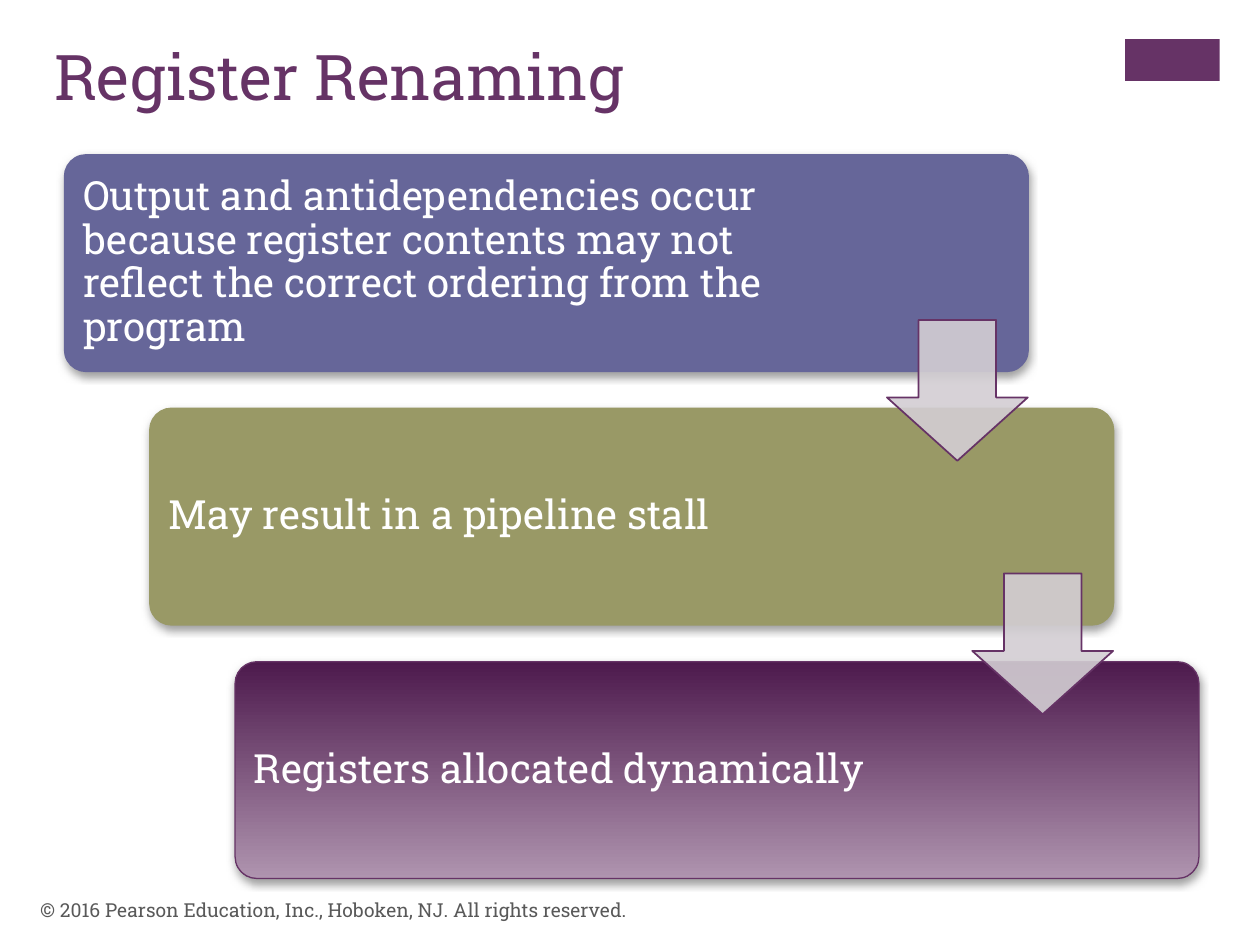
from dataclasses import dataclass

from lxml.etree import SubElement
from pptx import Presentation
from pptx.dml.color import RGBColor
from pptx.enum.shapes import MSO_SHAPE
from pptx.enum.text import MSO_ANCHOR
from pptx.oxml.ns import qn
from pptx.shapes.autoshape import Shape
from pptx.slide import Slide
from pptx.util import Cm, Pt

FONT = "Roboto Slab"
PURPLE = "663366"
WHITE = "FFFFFF"
STEP_X, STEP_Y = 1.72, 5.11
CARD_LEFT, CARD_TOP = 1.3, 3.12
CARD_WIDTH, CARD_HEIGHT = 19.43, 4.37
TEXT_INSET, TEXT_WIDTH = 0.13, 14.65
ARROW_LEFT, ARROW_TOP, ARROW_SIZE = 17.88, 6.45, 2.84


@dataclass
class Frame:
    left: float
    top: float
    width: float
    height: float


@dataclass
class Card:
    text: str
    fill: tuple[str, ...]
    line: str


CARDS = [
    Card(
        "Output and antidependencies occur because register contents may not "
        "reflect the correct ordering from the program",
        ("666699",),
        "666699",
    ),
    Card("May result in a pipeline stall", ("999966",), "999966"),
    Card("Registers allocated dynamically", ("4D1A4D", "AF94AF"), PURPLE),
]


def color(value: str) -> RGBColor:
    return RGBColor.from_string(value)


def add_block(
    page: Slide,
    kind: MSO_SHAPE,
    frame: Frame,
    fill: tuple[str, ...],
    line: str | None = None,
    line_width: float = 1,
    adjustments: tuple[float, ...] = (),
) -> Shape:
    block = page.shapes.add_shape(
        kind, Cm(frame.left), Cm(frame.top), Cm(frame.width), Cm(frame.height)
    )
    block.shadow.inherit = False
    for index, value in enumerate(adjustments):
        block.adjustments[index] = value
    if len(fill) == 1:
        block.fill.solid()
        block.fill.fore_color.rgb = color(fill[0])
    else:
        block.fill.gradient()
        block.fill.gradient_angle = 270
        for stop, value in zip(block.fill.gradient_stops, fill):
            stop.color.rgb = color(value)
    if line:
        block.line.color.rgb = color(line)
        block.line.width = Pt(line_width)
    else:
        block.line.fill.background()
    return block


def add_text(
    page: Slide,
    frame: Frame,
    text: str,
    size: float,
    text_color: str,
    anchor: MSO_ANCHOR = MSO_ANCHOR.MIDDLE,
    line_spacing: float = 1.0,
) -> Shape:
    box = page.shapes.add_textbox(
        Cm(frame.left), Cm(frame.top), Cm(frame.width), Cm(frame.height)
    )
    text_frame = box.text_frame
    text_frame.word_wrap = True
    text_frame.vertical_anchor = anchor
    text_frame.text = text
    para = text_frame.paragraphs[0]
    para.line_spacing = line_spacing
    font = para.runs[0].font
    font.name = FONT
    font.size = Pt(size)
    font.color.rgb = color(text_color)
    return box


def add_shadow(block: Shape) -> None:
    effects = block._element.spPr.find(qn("a:effectLst"))
    shadow = SubElement(
        effects,
        qn("a:outerShdw"),
        blurRad=str(Pt(5)),
        dist=str(Pt(2)),
        dir="5400000",
        rotWithShape="0",
    )
    tone = SubElement(shadow, qn("a:srgbClr"), val="808080")
    SubElement(tone, qn("a:alpha"), val="75000")


def add_card(page: Slide, card: Card, index: int) -> None:
    left, top = CARD_LEFT + index * STEP_X, CARD_TOP + index * STEP_Y
    block = add_block(
        page,
        MSO_SHAPE.ROUNDED_RECTANGLE,
        Frame(left, top, CARD_WIDTH, CARD_HEIGHT),
        card.fill,
        card.line,
        0.75,
        (0.1,),
    )
    add_shadow(block)
    text_area = Frame(
        left + TEXT_INSET,
        top + TEXT_INSET,
        TEXT_WIDTH,
        CARD_HEIGHT - 2 * TEXT_INSET,
    )
    box = add_text(page, text_area, card.text, 23, WHITE, line_spacing=0.9)
    box.text_frame.margin_top = box.text_frame.margin_bottom = Cm(0.25)


def add_arrow(page: Slide, index: int) -> None:
    frame = Frame(
        ARROW_LEFT + index * STEP_X,
        ARROW_TOP + index * STEP_Y,
        ARROW_SIZE,
        ARROW_SIZE,
    )
    arrow = add_block(
        page, MSO_SHAPE.DOWN_ARROW, frame, ("D3CED3",), PURPLE, 1, (0.55, 0.45)
    )
    tone = arrow._element.spPr.find(qn("a:solidFill")).find(qn("a:srgbClr"))
    SubElement(tone, qn("a:alpha"), val="90000")


def main() -> None:
    deck = Presentation()
    deck.slide_width, deck.slide_height = Cm(25.4), Cm(19.05)
    page = deck.slides.add_slide(deck.slide_layouts[6])

    add_block(page, MSO_SHAPE.RECTANGLE, Frame(22.68, 0.79, 1.91, 0.84), (PURPLE,))
    add_text(
        page,
        Frame(0.84, 0.64, 20.98, 3.1),
        "Register Renaming",
        36,
        PURPLE,
        MSO_ANCHOR.TOP,
    )
    for index, card in enumerate(CARDS):
        add_card(page, card, index)
    for index in range(len(CARDS) - 1):
        add_arrow(page, index)
    add_text(
        page,
        Frame(0.56, 17.83, 17.02, 1.02),
        "© 2016 Pearson Education, Inc., Hoboken, NJ. All rights reserved.",
        11,
        "595959",
    )
    deck.save("out.pptx")


if __name__ == "__main__":
    main()
